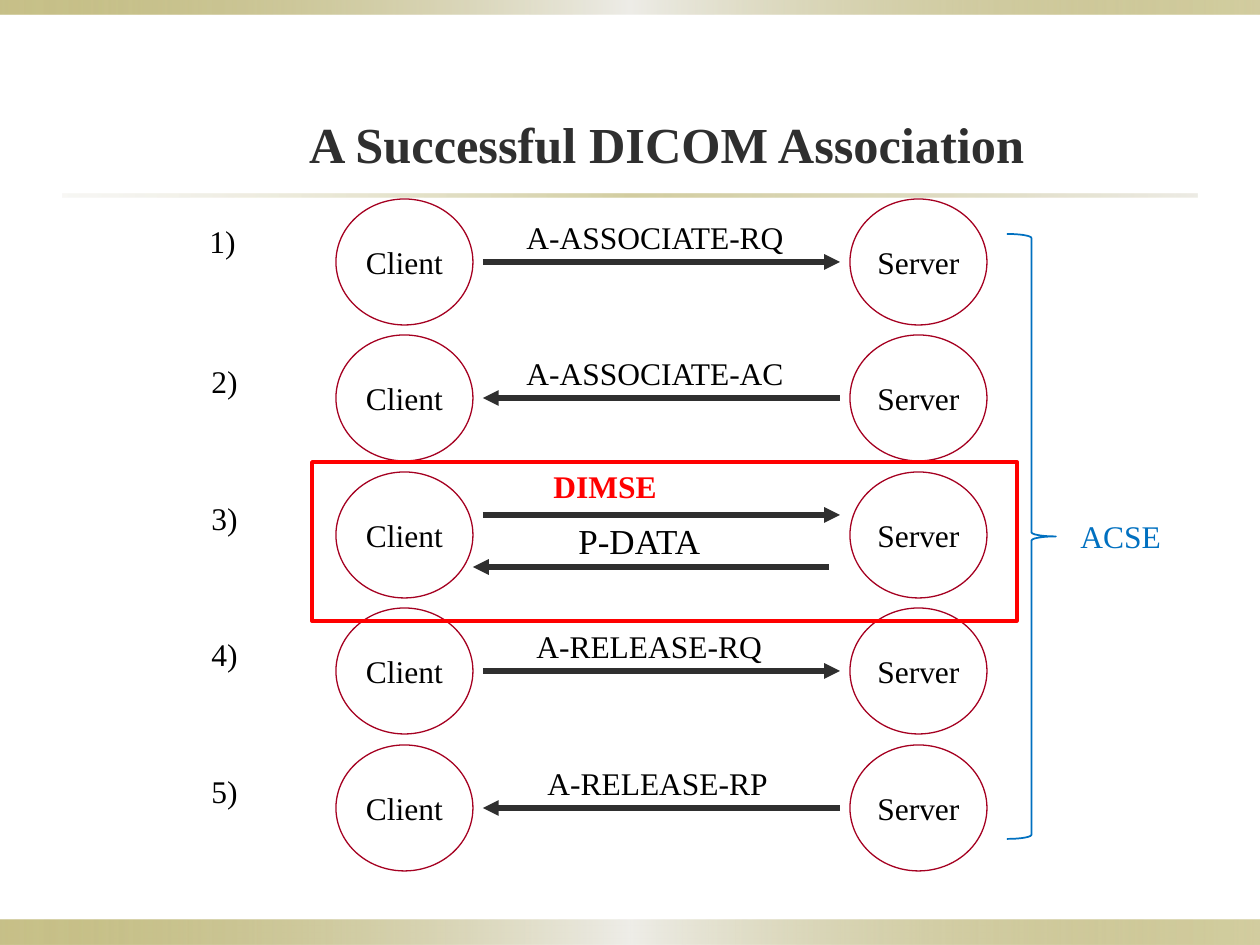
from dataclasses import dataclass

from lxml import etree
from pptx import Presentation
from pptx.dml.color import RGBColor
from pptx.enum.shapes import MSO_CONNECTOR, MSO_SHAPE
from pptx.enum.text import MSO_ANCHOR, MSO_AUTO_SIZE, PP_ALIGN
from pptx.oxml.ns import qn
from pptx.util import Emu, Pt

STRAIGHT = MSO_CONNECTOR.STRAIGHT
OVAL, RECTANGLE, BRACE = MSO_SHAPE.OVAL, MSO_SHAPE.RECTANGLE, MSO_SHAPE.RIGHT_BRACE
LEFT, CENTER = PP_ALIGN.LEFT, PP_ALIGN.CENTER
TOP, MIDDLE = MSO_ANCHOR.TOP, MSO_ANCHOR.MIDDLE
FIT_TEXT = MSO_AUTO_SIZE.SHAPE_TO_FIT_TEXT

EMU_PER_INCH, PX_PER_INCH = 914400, 126
FIRST_ROW_TOP, TWO_ROW_PITCH = 199, 273
CLIENT_LEFT, SERVER_LEFT = 336, 850
NODE_WIDTH, NODE_HEIGHT = 137, 126
TEXT_HEIGHT = 50


@dataclass(frozen=True)
class Theme:
    font: str = "Times New Roman"
    text: str = "000000"
    dark: str = "2F2F2F"
    node: str = "A50021"
    accent: str = "0070C0"
    highlight: str = "FF0000"
    olive: str = "918415"
    pale: str = "EEEDE8"
    beige: str = "DCD9CC"
    title_size: float = 28.8
    body_size: float = 18
    data_size: float = 20


@dataclass(frozen=True)
class Box:
    left: int
    top: int
    width: int
    height: int


@dataclass(frozen=True)
class Stop:
    position: int
    color: str
    opacity: int = 100


@dataclass(frozen=True)
class Band:
    box: Box
    stops: tuple[Stop, ...]


@dataclass(frozen=True)
class Arrow:
    start: int
    end: int
    drop: int = 63


@dataclass(frozen=True)
class Message:
    text: str
    left: int
    width: int
    drop: int = 13
    size: float = Theme.body_size
    color: str = Theme.text
    bold: bool = False


@dataclass(frozen=True)
class Step:
    number_left: int
    number_drop: int
    arrows: tuple[Arrow, ...]
    messages: tuple[Message, ...]


THEME = Theme()
REQUEST, REPLY = Arrow(483, 840), Arrow(840, 483)
BAR_STOPS = (Stop(0, THEME.olive, 50), Stop(50, THEME.pale), Stop(100, THEME.olive, 40))
RULE_STOPS = (Stop(0, THEME.beige, 20), Stop(50, THEME.olive, 40), Stop(100, THEME.beige, 50))
BANDS = (
    Band(Box(0, 920, 1260, 25), BAR_STOPS),
    Band(Box(0, 0, 1260, 15), BAR_STOPS),
    Band(Box(63, 194, 1134, 3), RULE_STOPS),
)
STEPS = (
    Step(197, 17, (REQUEST,), (Message("A-ASSOCIATE-RQ", 514, 285),)),
    Step(199, 21, (REPLY,), (Message("A-ASSOCIATE-AC", 514, 285),)),
    Step(199, 21, (Arrow(483, 840, 43), Arrow(829, 473, 95)), (
        Message("P-DATA", 566, 149, 41, THEME.data_size),
        Message("DIMSE", 541, 130, -11, color=THEME.highlight, bold=True),
    )),
    Step(199, 21, (REQUEST,), (Message("A-RELEASE-RQ", 524, 263),)),
    Step(199, 21, (REPLY,), (Message("A-RELEASE-RP", 535, 248),)),
)


def px(length: int) -> Emu:
    return Emu(round(length * EMU_PER_INCH / PX_PER_INCH))


def place(box: Box) -> tuple[Emu, ...]:
    return px(box.left), px(box.top), px(box.width), px(box.height)


def write(shape, text: str, *, size: float = THEME.body_size, color: str = THEME.text,
          bold: bool = False, align=LEFT, anchor=TOP, wrap: bool = False) -> None:
    frame = shape.text_frame
    frame.word_wrap = wrap
    frame.vertical_anchor = anchor
    paragraph = frame.paragraphs[0]
    paragraph.alignment = align
    run = paragraph.add_run()
    run.text = text
    run.font.name = THEME.font
    run.font.size = Pt(size)
    run.font.bold = bold
    run.font.color.rgb = RGBColor.from_string(color)


def add_label(slide, box: Box, text: str, **text_format) -> None:
    shape = slide.shapes.add_textbox(*place(box))
    write(shape, text, **text_format)
    shape.text_frame.auto_size = FIT_TEXT


def add_outline(slide, kind, box: Box, color: str, width: float):
    shape = slide.shapes.add_shape(kind, *place(box))
    shape.shadow.inherit = False
    shape.fill.background()
    shape.line.color.rgb = RGBColor.from_string(color)
    shape.line.width = Pt(width)
    return shape


def add_band(slide, band: Band) -> None:
    shape = slide.shapes.add_shape(RECTANGLE, *place(band.box))
    shape.shadow.inherit = False
    shape.line.fill.background()
    shape.fill.gradient()
    shape.fill.gradient_angle = 0
    stop_list = shape.element.spPr.find(".//" + qn("a:gsLst"))
    for old_stop in list(stop_list):
        stop_list.remove(old_stop)
    for stop in band.stops:
        node = etree.SubElement(stop_list, qn("a:gs"), pos=str(stop.position * 1000))
        color = etree.SubElement(node, qn("a:srgbClr"), val=stop.color)
        etree.SubElement(color, qn("a:alpha"), val=str(stop.opacity * 1000))


def add_arrow(slide, arrow: Arrow, row_top: int) -> None:
    level = px(row_top + arrow.drop)
    connector = slide.shapes.add_connector(STRAIGHT, px(arrow.start), level, px(arrow.end), level)
    connector.line.color.rgb = RGBColor.from_string(THEME.dark)
    connector.line.width = Pt(3)
    properties = connector.element.spPr
    etree.SubElement(properties.find(qn("a:ln")), qn("a:tailEnd"), type="triangle")
    etree.SubElement(properties, qn("a:effectLst"))


def add_step(slide, index: int, step: Step) -> None:
    row_top = FIRST_ROW_TOP + index * TWO_ROW_PITCH // 2
    for name, left in (("Client", CLIENT_LEFT), ("Server", SERVER_LEFT)):
        node = add_outline(slide, OVAL, Box(left, row_top, NODE_WIDTH, NODE_HEIGHT), THEME.node, 0.75)
        write(node, name, align=CENTER, anchor=MIDDLE)
    for arrow in step.arrows:
        add_arrow(slide, arrow, row_top)
    number_box = Box(step.number_left, row_top + step.number_drop, 52, TEXT_HEIGHT)
    add_label(slide, number_box, f"{index + 1})")
    for message in step.messages:
        box = Box(message.left, row_top + message.drop, message.width, TEXT_HEIGHT)
        add_label(slide, box, message.text, size=message.size, color=message.color, bold=message.bold)


def main() -> None:
    presentation = Presentation()
    presentation.slide_width, presentation.slide_height = px(1260), px(945)
    slide = presentation.slides.add_slide(presentation.slide_layouts[6])
    for band in BANDS:
        add_band(slide, band)
    title = slide.shapes.add_textbox(*place(Box(233, 108, 868, 71)))
    write(title, "A Successful DICOM Association", size=THEME.title_size, color=THEME.dark,
          bold=True, align=CENTER, anchor=MIDDLE, wrap=True)
    for index, step in enumerate(STEPS):
        add_step(slide, index, step)
    add_outline(slide, BRACE, Box(1007, 234, 49, 605), THEME.accent, 1)
    add_label(slide, Box(1068, 511, 107, TEXT_HEIGHT), "ACSE", color=THEME.accent)
    add_outline(slide, RECTANGLE, Box(312, 462, 705, 159), THEME.highlight, 2)
    presentation.save("out.pptx")


if __name__ == "__main__":
    main()
